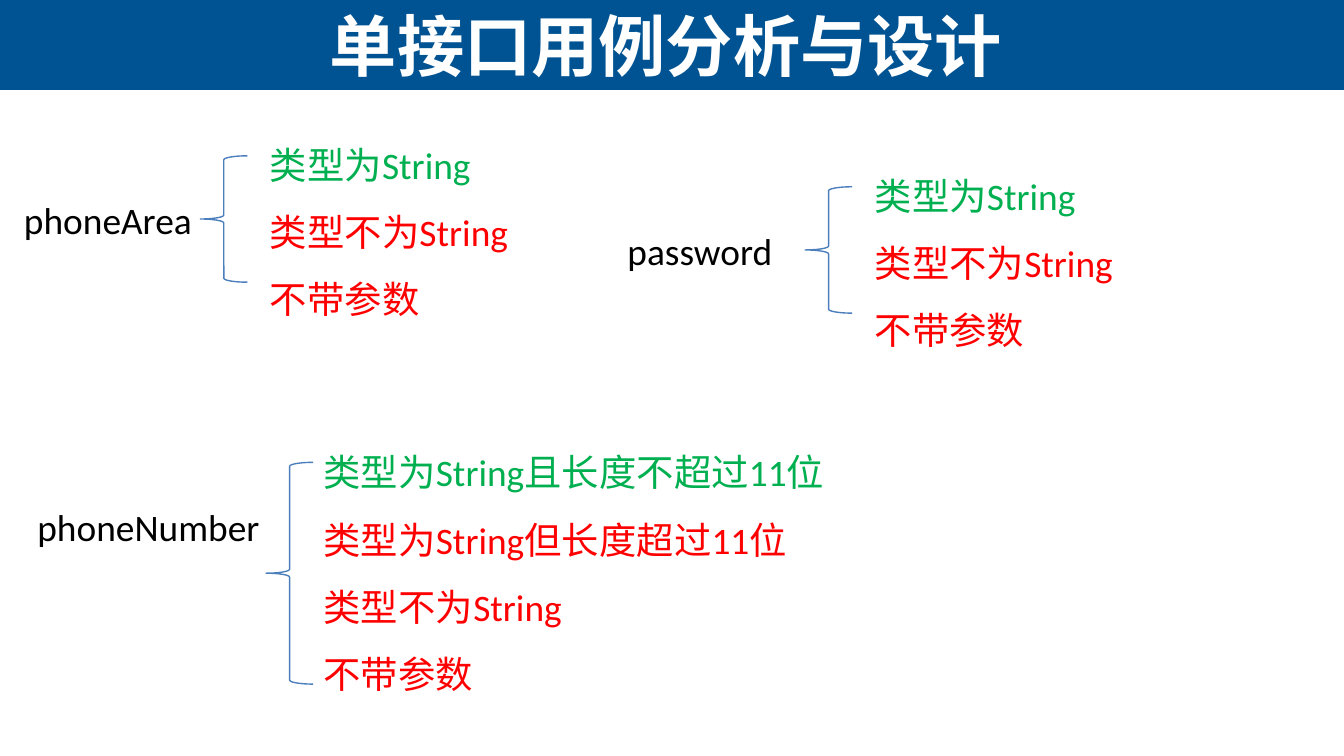
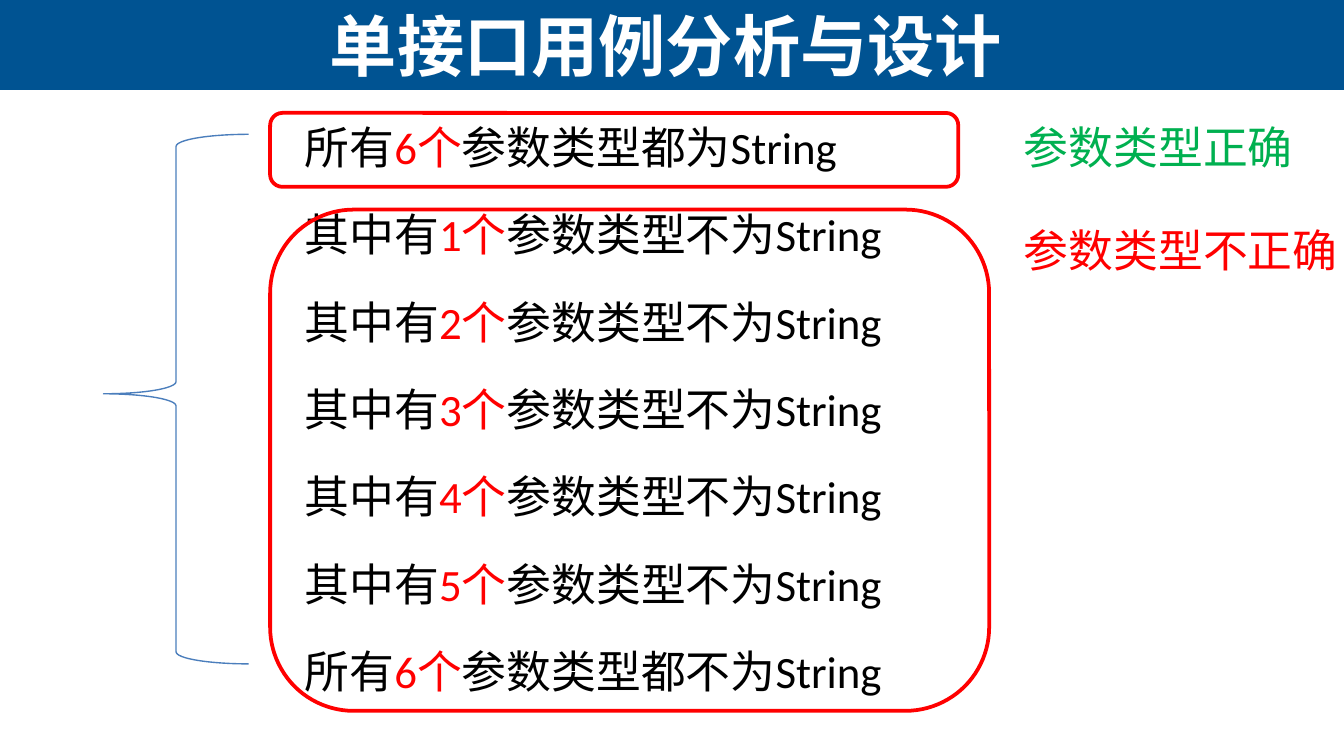
import pptx
import pptx.util
import pptx.dml.color
import pptx.enum.shapes
import pptx.enum.text

Inches = pptx.util.Inches
Pt = pptx.util.Pt
kinds = pptx.enum.shapes.MSO_SHAPE
hues = {"band": "005392", "brace": "4B7EBC", "white": "FFFFFF",
        "black": "000000", "good": "00B050", "bad": "FF0000"}


def add_text(slide, box, paras, font, form={}, anchor="TOP"):
    frame = slide.shapes.add_textbox(*map(Inches, box)).text_frame
    frame.word_wrap = True
    frame.vertical_anchor = getattr(pptx.enum.text.MSO_ANCHOR, anchor)
    for i, runs in enumerate(paras):
        para = frame.add_paragraph() if i else frame.paragraphs[0]
        for key, value in form.items():
            setattr(para, key, value)
        for words, hue in runs:
            run = para.add_run()
            run.text = words
            run.font.color.rgb = pptx.dml.color.RGBColor.from_string(hues[hue])
            for key, value in font.items():
                setattr(run.font, key, value)


def add_shape(slide, kind, box, fill=None, line=None, width=0.75):
    shape = slide.shapes.add_shape(kind, *map(Inches, box))
    shape.shadow.inherit = False
    for part, hue in ((shape.fill, fill), (shape.line.fill, line)):
        if hue:
            part.solid()
            part.fore_color.rgb = pptx.dml.color.RGBColor.from_string(hues[hue])
        else:
            part.background()
    if line:
        shape.line.width = Pt(width)
    return shape


head = {"name": "Arial", "size": Pt(36), "bold": True}
body = {"name": "Calibri", "size": Pt(20)}
large = {"name": "Calibri", "size": Pt(24)}
center = {"alignment": pptx.enum.text.PP_ALIGN.CENTER}

deck = pptx.Presentation()
deck.slide_width = Inches(10)
deck.slide_height = deck.slide_width * 9 // 16

slides = []
for _ in range(2):
    slide = deck.slides.add_slide(deck.slide_layouts[6])
    add_shape(slide, kinds.RECTANGLE, (0, 0, 10, 0.67), fill="band")
    add_text(slide, (0.02, 0, 9.87, 0.67), [[("单接口用例分析与设计", "white")]],
             head, center, "MIDDLE")
    slides.append(slide)
fields, cases = slides

basic = ["类型为String", "类型不为String", "不带参数"]
length = ["类型为String且长度不超过11位", "类型为String但长度超过11位"] + basic[1:]
groups = [
    ("phoneArea", 0.08, 1.42, 1.49, 0.94, 1.91, 0.84, 2.93, basic),
    ("phoneNumber", 0.18, 3.7, 1.98, 1.65, 2.31, 3.13, 4.43, length),
    ("password", 4.57, 1.65, 5.99, 0.94, 6.41, 1.07, 2.93, basic),
]
for name, left, top, brace, tall, start, first, wide, rules in groups:
    add_text(fields, (left, top, 2.13, 0.44), [[(name, "black")]], body)
    add_shape(fields, kinds.LEFT_BRACE, (brace, top - 0.26, 0.35, tall), line="brace")
    paras = [[(rule, "bad" if i else "good")] for i, rule in enumerate(rules)]
    add_text(fields, (start, first, wide, 0.12 + 0.5 * len(rules)), paras,
             body, {"line_spacing": 1.5})

brace = add_shape(cases, kinds.LEFT_BRACE, (0.77, 1, 1.08, 3.94), line="brace")
brace.adjustments[1] = 0.49

rows = [("所有", 6, "都为")]
rows += [("其中有", count, "不为") for count in range(1, 6)]
rows += [("所有", 6, "都不为")]
paras = [[(lead, "black"), (f"{count}个", "bad"), (f"参数类型{verb}String", "black")]
         for lead, count, verb in rows]
add_text(cases, (2.17, 0.84, 5.66, 4.44), paras, large, {"space_before": Pt(18)})

for top, wide, tall in ((0.84, 5.12, 0.55), (1.56, 5.35, 3.73)):
    add_shape(cases, kinds.ROUNDED_RECTANGLE, (2.01, top, wide, tall), line="bad", width=2)

for words, hue, top, wide in (("参数类型正确", "good", 0.84, 2.24),
                              ("参数类型不正确", "bad", 1.61, 3.23)):
    add_text(cases, (7.52, top, wide, 0.5), [[(words, hue)]], large)

deck.save("out.pptx")
